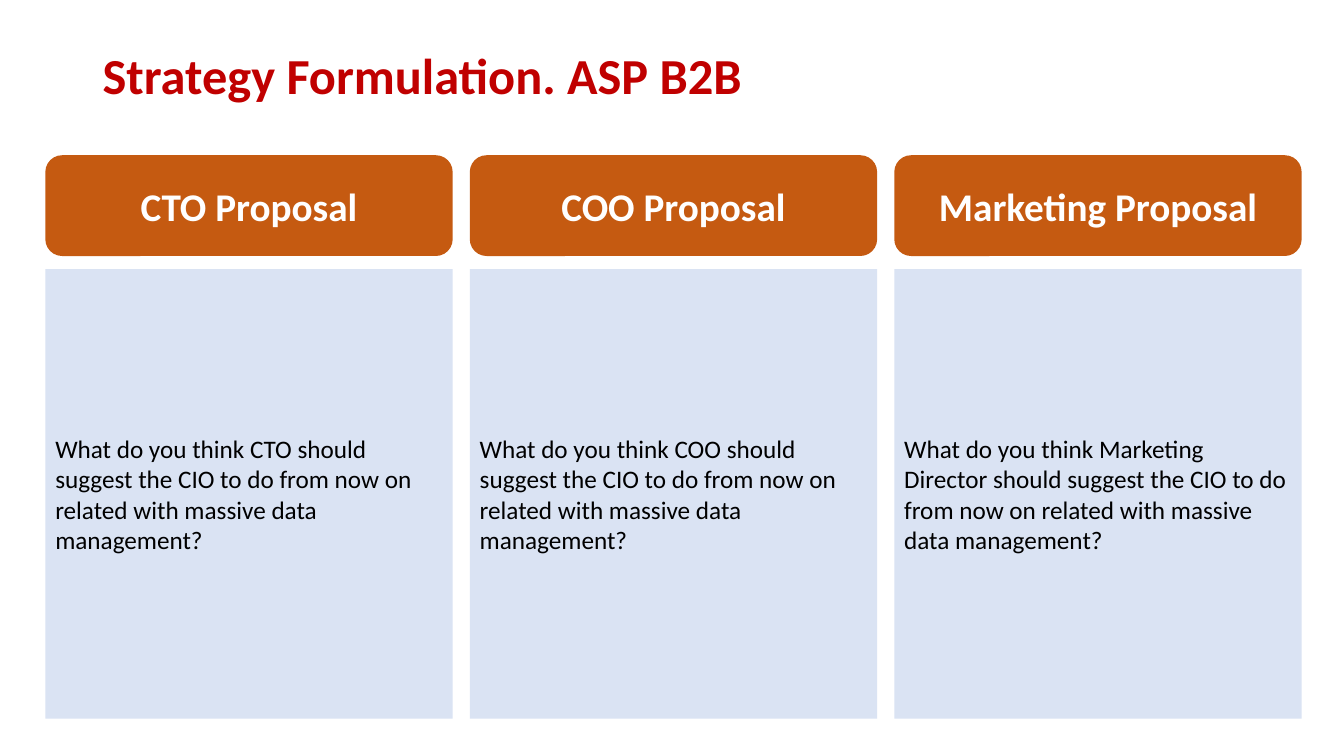
"""Build the strategy formulation slide with one column per proposal."""
from dataclasses import dataclass

from pptx import Presentation
from pptx.dml.color import RGBColor
from pptx.enum.shapes import MSO_SHAPE
from pptx.enum.text import MSO_ANCHOR, PP_ALIGN
from pptx.shapes.autoshape import Shape
from pptx.slide import Slide
from pptx.util import Inches, Pt

COLOURS = {
    "title": "C00000",
    "heading": "C55A11",
    "heading_text": "FFFFFF",
    "question": "DAE3F3",
    "question_text": "000000",
}
FONT = "Calibri"
MARGIN = 0.45
COLUMN_WIDTH = 4.04
COLUMN_STEP = 4.21


@dataclass(frozen=True)
class Row:
    """A horizontal band of the grid and the look of its cells."""

    top: float
    height: float
    outline: MSO_SHAPE
    colour: str
    size: int
    bold: bool
    alignment: PP_ALIGN


@dataclass(frozen=True)
class Proposal:
    """One column: the role in the heading and the person asked about."""

    role: str
    adviser: str


HEADING = Row(1.54, 1, MSO_SHAPE.ROUNDED_RECTANGLE, "heading", 28, True, PP_ALIGN.CENTER)
QUESTION = Row(2.67, 4.46, MSO_SHAPE.RECTANGLE, "question", 18, False, PP_ALIGN.LEFT)
PROPOSALS = (
    Proposal("CTO", "CTO"),
    Proposal("COO", "COO"),
    Proposal("Marketing", "Marketing Director"),
)


def write(holder: Shape, text: str, size: int, colour: str, bold: bool, alignment: PP_ALIGN) -> None:
    """Fill a shape with one vertically centred, formatted paragraph."""
    frame = holder.text_frame
    frame.text = text
    frame.word_wrap = True
    frame.vertical_anchor = MSO_ANCHOR.MIDDLE
    paragraph = frame.paragraphs[0]
    paragraph.alignment = alignment
    font = paragraph.runs[0].font
    font.name = FONT
    font.size = Pt(size)
    font.bold = bold
    font.color.rgb = RGBColor.from_string(COLOURS[colour])


def draw_title(slide: Slide, text: str) -> None:
    """Place the slide title above the grid."""
    title = slide.shapes.add_textbox(Inches(0.92), Inches(0.4), Inches(11.5), Inches(0.75))
    write(title, text, 36, "title", True, PP_ALIGN.LEFT)
    title.text_frame.paragraphs[0].line_spacing = 0.9


def draw_cell(slide: Slide, column: int, row: Row, text: str) -> None:
    """Draw one filled cell of the grid with its text."""
    left = MARGIN + column * COLUMN_STEP
    cell = slide.shapes.add_shape(
        row.outline, Inches(left), Inches(row.top), Inches(COLUMN_WIDTH), Inches(row.height)
    )
    cell.shadow.inherit = False
    cell.fill.solid()
    cell.fill.fore_color.rgb = RGBColor.from_string(COLOURS[row.colour])
    cell.line.fill.background()
    write(cell, text, row.size, f"{row.colour}_text", row.bold, row.alignment)


def main() -> None:
    """Assemble the slide and save it."""
    deck = Presentation()
    deck.slide_width, deck.slide_height = Inches(13.33), Inches(7.5)
    slide = deck.slides.add_slide(deck.slide_layouts[6])
    draw_title(slide, "Strategy Formulation. ASP B2B")
    for column, proposal in enumerate(PROPOSALS):
        draw_cell(slide, column, HEADING, f"{proposal.role} Proposal")
        draw_cell(
            slide, column, QUESTION,
            f"What do you think {proposal.adviser} should suggest the CIO to do "
            "from now on related with massive data management?",
        )
    deck.save("out.pptx")


main()
